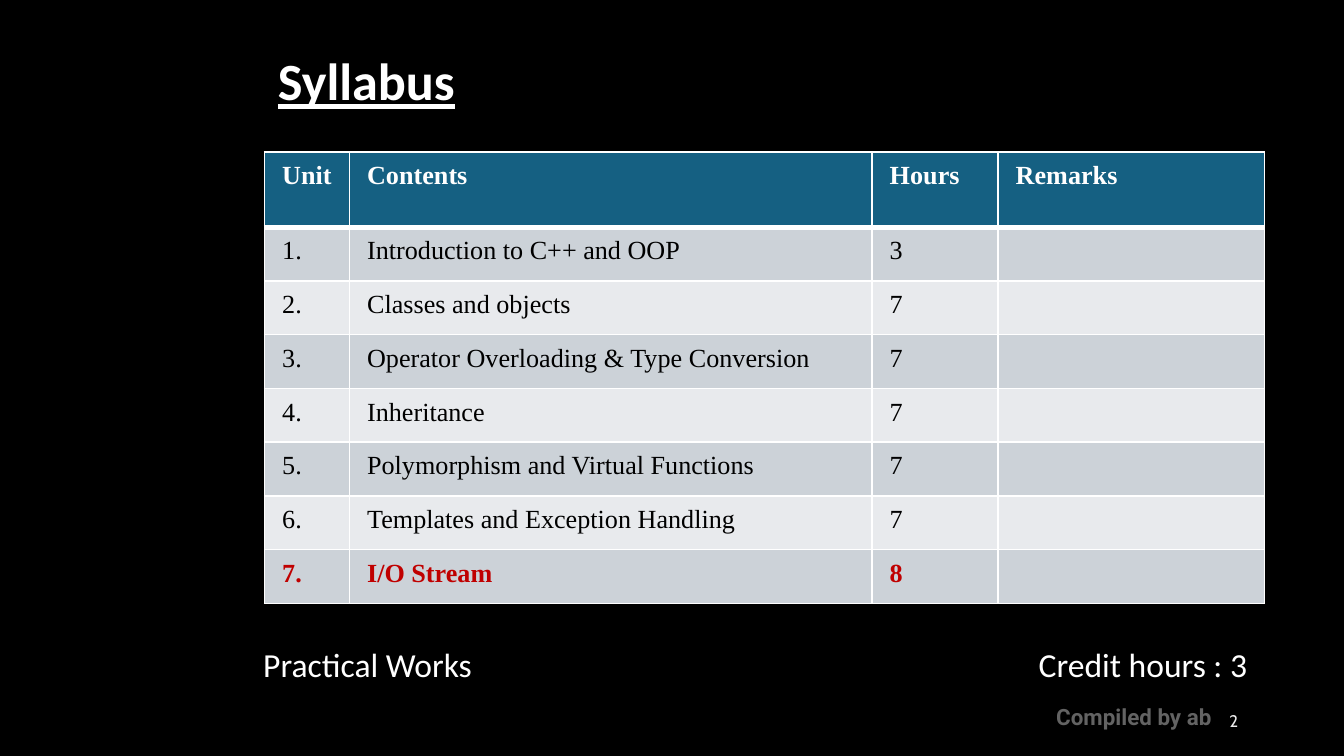
from lxml import etree
from pptx import Presentation
from pptx.dml.color import RGBColor
from pptx.enum.text import MSO_ANCHOR, PP_ALIGN
from pptx.oxml.ns import qn
from pptx.util import Pt

TOP, MIDDLE = MSO_ANCHOR.TOP, MSO_ANCHOR.MIDDLE
LEFT, RIGHT = PP_ALIGN.LEFT, PP_ALIGN.RIGHT

BLACK = RGBColor(0x00, 0x00, 0x00)
WHITE = RGBColor(0xFF, 0xFF, 0xFF)
PALE = RGBColor(0xEA, 0xEA, 0xEA)
RED = RGBColor(0xC0, 0x00, 0x00)
TEAL = RGBColor(0x15, 0x60, 0x82)
BANDS = [RGBColor(0xCC, 0xD2, 0xD8), RGBColor(0xE8, 0xEA, 0xED)]

COLUMN_WIDTHS = [45.5, 280, 67.5, 142.7]
HEADER_HEIGHT, ROW_HEIGHT = 40.3, 28.8
HEADINGS = ["Unit", "Contents", "Hours", "Remarks"]
UNITS = [
    ("Introduction to C++ and OOP", 3),
    ("Classes and objects", 7),
    ("Operator Overloading & Type Conversion", 7),
    ("Inheritance", 7),
    ("Polymorphism and Virtual Functions", 7),
    ("Templates and Exception Handling", 7),
    ("I/O Stream", 8),
]


class SlideBuilder:
    body = {"name": "Calibri", "size": Pt(18)}
    cell = {"name": "Times New Roman", "size": Pt(14)}
    cell_margins = {"margin_left": Pt(9.4), "margin_right": Pt(9.4),
                    "margin_top": Pt(5), "margin_bottom": Pt(5)}

    def __init__(self, slide, background):
        self.slide = slide
        fill = slide.background.fill
        fill.solid()
        fill.fore_color.rgb = background

    def styled_run(self, p, text, color, style):
        r = p.add_run()
        r.text = text
        for key, value in style.items():
            setattr(r.font, key, value)
        r.font.color.rgb = color
        return r

    def text(self, text, box, color=WHITE, anchor=TOP, align=LEFT,
             spacing=1.0, alpha=None, **style):
        sp = self.slide.shapes.add_textbox(*map(Pt, box))
        tf = sp.text_frame
        tf.word_wrap = True
        tf.vertical_anchor = anchor
        p = tf.paragraphs[0]
        p.alignment = align
        p.line_spacing = spacing
        r = self.styled_run(p, text, color, {**self.body, **style})
        if alpha is not None:
            clr = r._r.find(".//" + qn("a:srgbClr"))
            etree.SubElement(clr, qn("a:alpha"), val=str(alpha * 1000))

    def borders(self, cell, widths):
        """Draw white cell edges; widths maps each side (L, R, T, B) to points."""
        tcPr = cell._tc.get_or_add_tcPr()
        for side, width in widths.items():
            ln = etree.SubElement(tcPr, qn(f"a:ln{side}"), w=str(Pt(width)))
            fill = etree.SubElement(ln, qn("a:solidFill"))
            etree.SubElement(fill, qn("a:srgbClr"), val=str(WHITE))

    def table_cell(self, cell, text, color, bold, fill, edges):
        self.borders(cell, edges)
        for key, value in self.cell_margins.items():
            setattr(cell, key, value)
        cell.fill.solid()
        cell.fill.fore_color.rgb = fill
        p = cell.text_frame.paragraphs[0]
        if text:
            self.styled_run(p, text, color, {**self.cell, "bold": bold})
        else:
            # The end mark's size keeps an empty cell from stretching its row.
            etree.SubElement(p._p, qn("a:endParaRPr"), sz="1400")

    def table(self, rows, left, top, widths, heights):
        table = self.slide.shapes.add_table(
            len(rows), len(widths), Pt(left), Pt(top),
            Pt(sum(widths)), Pt(sum(heights))).table
        for column, width in zip(table.columns, widths):
            column.width = Pt(width)
        for i, (row, height) in enumerate(zip(rows, heights)):
            table.rows[i].height = Pt(height)
            header, last = i == 0, i == len(rows) - 1
            color = WHITE if header else RED if last else BLACK
            fill = TEAL if header else BANDS[(i - 1) % 2]
            edges = {"L": 1, "R": 1, "T": 3 if i == 1 else 1,
                     "B": 3 if header else 1}
            for j, text in enumerate(row):
                self.table_cell(table.cell(i, j), text, color,
                                header or last, fill, edges)


def main():
    prs = Presentation()
    prs.slide_width, prs.slide_height = Pt(720), Pt(405)
    s = SlideBuilder(prs.slides.add_slide(prs.slide_layouts[6]), BLACK)

    s.text("Compiled by ab", (558.7, 373, 102.3, 21.6), alpha=38,
           name="Roboto", size=Pt(12), bold=True)
    s.text("Syllabus", (141.8, 21.6, 528.5, 46.8), anchor=MIDDLE, spacing=0.9,
           size=Pt(28), bold=True, underline=True)

    rows = [HEADINGS] + [[f"{n}.", content, str(hours), ""]
                         for n, (content, hours) in enumerate(UNITS, 1)]
    heights = [HEADER_HEIGHT] + [ROW_HEIGHT] * len(UNITS)
    s.table(rows, 141.8, 81.4, COLUMN_WIDTHS, heights)

    s.text("Credit hours : 3", (549.4, 341.3, 131.8, 28.8))
    s.text("Practical Works", (133.9, 341.3, 262, 28.8))
    s.text("2", (508.3, 375.1, 162, 21.6), color=PALE, anchor=MIDDLE,
           align=RIGHT, name="Cabin", size=Pt(9))
    prs.save("out.pptx")


if __name__ == "__main__":
    main()
